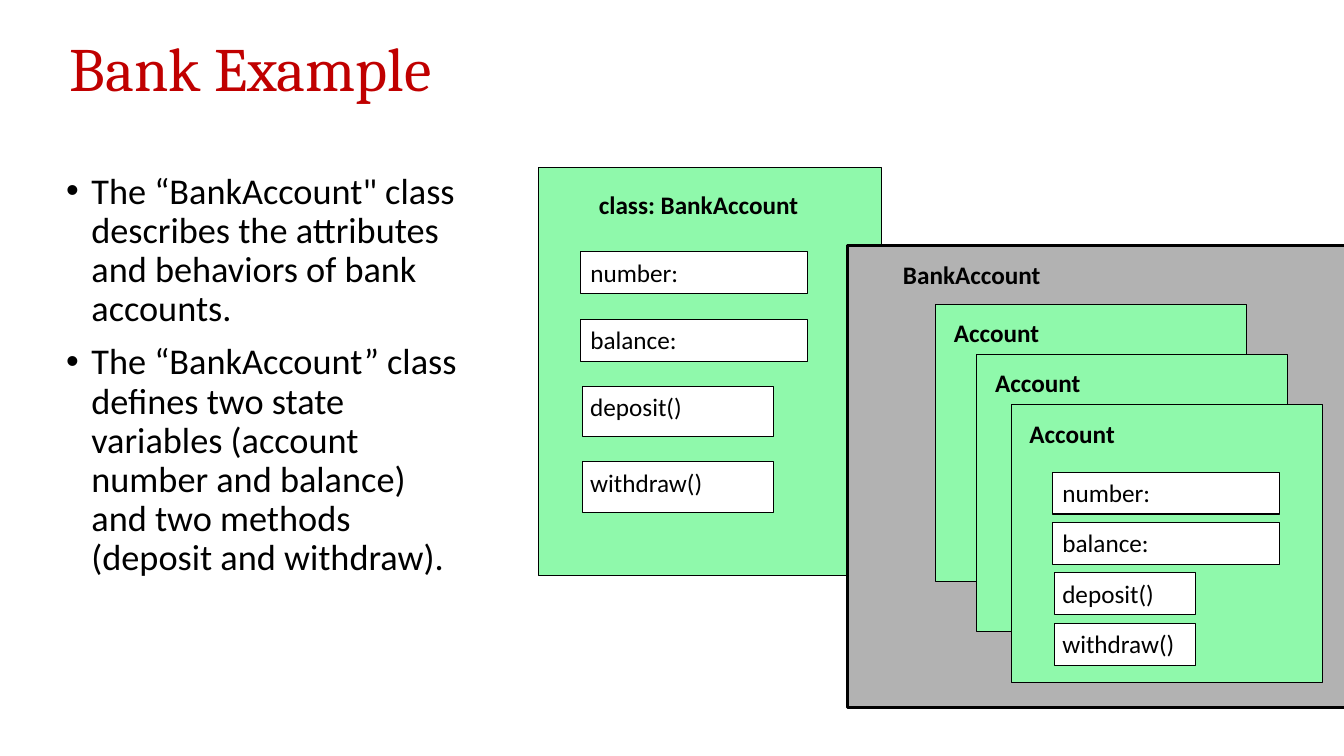
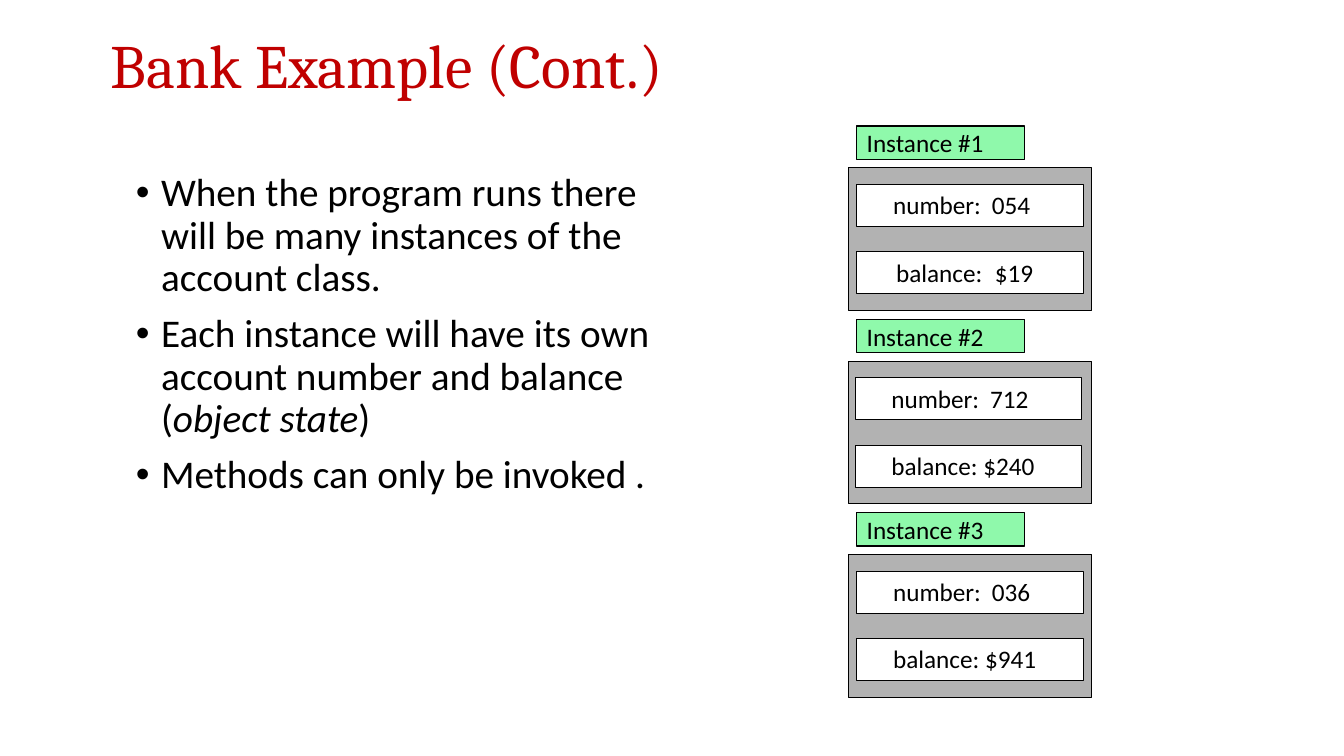
"""Build two slides that explain classes and instances with a bank account."""
from dataclasses import dataclass
from typing import NamedTuple

from lxml.etree import SubElement
from pptx import Presentation
from pptx.dml.color import RGBColor
from pptx.enum.shapes import MSO_SHAPE
from pptx.enum.text import MSO_ANCHOR, PP_ALIGN
from pptx.oxml.ns import qn
from pptx.shapes.autoshape import Shape
from pptx.slide import Slide
from pptx.util import Inches, Length, Pt

RED = RGBColor(0xC0, 0x00, 0x00)
BLACK = RGBColor(0x00, 0x00, 0x00)
WHITE = RGBColor(0xFF, 0xFF, 0xFF)
GREEN = RGBColor(0x8F, 0xF9, 0xAB)
GRAY = RGBColor(0xB2, 0xB2, 0xB2)
HEADING_FONT = "Cambria"
TEXT_FONT = "Calibri"
WIDTH, HEIGHT = Inches(13.33), Inches(7.5)
COLUMNS, ROWS = 160, 90
INDENT = Inches(0.25)


class Area(NamedTuple):
    column: float
    row: float
    columns: float
    rows: float

    def lengths(self) -> tuple[Length, ...]:
        across, down = WIDTH / COLUMNS, HEIGHT / ROWS
        return (Length(round(self.column * across)), Length(round(self.row * down)),
                Length(round(self.columns * across)), Length(round(self.rows * down)))


class Span(NamedTuple):
    text: str
    italic: bool = False


@dataclass(frozen=True)
class Panel:
    area: Area
    text: str = ""
    fill: RGBColor = WHITE
    line: float = 0.75
    bold: bool = False
    left: float = 0.1
    top: float = 0.05
    anchor: MSO_ANCHOR = MSO_ANCHOR.TOP
    tab: float = 0


@dataclass(frozen=True)
class Instance:
    number: str
    balance: str
    shift: float = 0
    balance_left: float = 0.36


def write_text(box: Shape, paragraphs: list[list[Span]], *, size: float = 18,
               font: str = TEXT_FONT, color: RGBColor = BLACK, bold: bool = False,
               bullets: bool = False, spacing: float = 1, tab: float = 0,
               left: float = 0.1, top: float = 0.05,
               anchor: MSO_ANCHOR = MSO_ANCHOR.TOP) -> None:
    frame = box.text_frame
    frame.word_wrap = True
    frame.vertical_anchor = anchor
    frame.margin_left, frame.margin_right = Inches(left), Inches(0.1)
    frame.margin_top = frame.margin_bottom = Inches(top)
    for index, spans in enumerate(paragraphs):
        para = frame.add_paragraph() if index else frame.paragraphs[0]
        properties = para._p.get_or_add_pPr()
        if bullets:
            properties.set("marL", str(INDENT))
            properties.set("indent", str(-INDENT))
            SubElement(properties, qn("a:buFont"), typeface="Arial")
            SubElement(properties, qn("a:buChar"), char="•")
        if tab:
            stops = SubElement(properties, qn("a:tabLst"))
            SubElement(stops, qn("a:tab"), pos=str(Inches(tab)), algn="l")
        para.alignment = PP_ALIGN.LEFT
        para.line_spacing = spacing
        if index:
            para.space_before = Pt(10)
        for span in spans:
            run = para.add_run()
            run.text = span.text
            run.font.name, run.font.size = font, Pt(size)
            run.font.bold, run.font.italic = bold, span.italic
            run.font.color.rgb = color


def draw_panel(page: Slide, panel: Panel) -> None:
    box = page.shapes.add_shape(MSO_SHAPE.RECTANGLE, *panel.area.lengths())
    box.shadow.inherit = False
    box.fill.solid()
    box.fill.fore_color.rgb = panel.fill
    box.line.color.rgb = BLACK
    box.line.width = Pt(panel.line)
    if panel.text:
        write_text(box, [[Span(panel.text)]], bold=panel.bold, left=panel.left,
                   top=panel.top, anchor=panel.anchor, tab=panel.tab)


def add_page(deck: Presentation, title: str, title_area: Area,
             paragraphs: list[list[Span]], body_area: Area, body_size: float) -> Slide:
    page = deck.slides.add_slide(deck.slide_layouts[6])
    heading = page.shapes.add_textbox(*title_area.lengths())
    write_text(heading, [[Span(title)]], size=44, font=HEADING_FONT, color=RED,
               spacing=0.9, anchor=MSO_ANCHOR.MIDDLE)
    body = page.shapes.add_textbox(*body_area.lengths())
    write_text(body, paragraphs, size=body_size, bullets=True, spacing=0.9)
    return page


def draw_members(page: Slide, column: float, rows: list[float],
                 method_columns: float, method_rows: float) -> None:
    for index, (name, row) in enumerate(
            zip(("number:", "balance:", "deposit()", "withdraw()"), rows)):
        if index < 2:
            draw_panel(page, Panel(Area(column, row, 27, 5), name))
        else:
            area = Area(column + 0.2, row, method_columns, method_rows)
            draw_panel(page, Panel(area, name, left=0.08))


def build_class_page(deck: Presentation) -> None:
    page = add_page(
        deck, "Bank Example", Area(7.1, 2.6, 98, 11.8),
        [[Span("The “BankAccount\" class describes the attributes and behaviors "
               "of bank accounts.")],
         [Span("The “BankAccount” class defines two state variables (account number "
               "and balance) and two methods (deposit and withdraw).")]],
        Area(6.7, 20, 49.8, 55), 25.9)
    draw_panel(page, Panel(Area(64.1, 20, 40.8, 48.5), "class: BankAccount", GREEN,
                           bold=True, left=0.6, top=0.21))
    draw_members(page, 69.1, [30, 38, 46, 55], 22.8, 6)
    draw_panel(page, Panel(Area(100.9, 29.2, 59.4, 55), "BankAccount", GRAY,
                           line=2, bold=True, left=0.55, top=0.14))
    for index, column in enumerate((111.4, 116.3, 120.4)):
        draw_panel(page, Panel(Area(column, 36.2 + 6 * index, 37, 33), "Account", GREEN,
                               bold=True, left=0.18, top=0.13))
    draw_members(page, 125.3, [56.2 + 6 * index for index in range(4)], 16.8, 5)


def build_instance_page(deck: Presentation) -> None:
    page = add_page(
        deck, "Bank Example (Cont.)", Area(12, 1.4, 134.4, 13.6),
        [[Span("When the program runs there will be many instances of the "
               "account class.")],
         [Span("Each instance will have its own account number and balance ("),
          Span("object state", italic=True), Span(")")],
         [Span("Methods can only be invoked .")]],
        Area(15, 20, 65.9, 56), 28)
    instances = [Instance("054", "\t$19", balance_left=0.39),
                 Instance("712", " $240", shift=-0.2), Instance("036", " $941")]
    for index, instance in enumerate(instances):
        top = 20 + 23 * index
        column = 102 + instance.shift
        draw_panel(page, Panel(Area(101, top, 29, 17), fill=GRAY))
        draw_panel(page, Panel(Area(column, top + 2, 27, 5),
                               f"number:\t{instance.number}", left=0.36, tab=0.98))
        draw_panel(page, Panel(Area(column, top + 10, 27, 5),
                               f"balance:{instance.balance}",
                               left=instance.balance_left, tab=0.98))
        draw_panel(page, Panel(Area(102, top - 5, 20, 4), f"Instance #{index + 1}", GREEN,
                               top=0, anchor=MSO_ANCHOR.MIDDLE))


def main() -> None:
    deck = Presentation()
    deck.slide_width, deck.slide_height = WIDTH, HEIGHT
    build_class_page(deck)
    build_instance_page(deck)
    deck.save("out.pptx")


if __name__ == "__main__":
    main()
